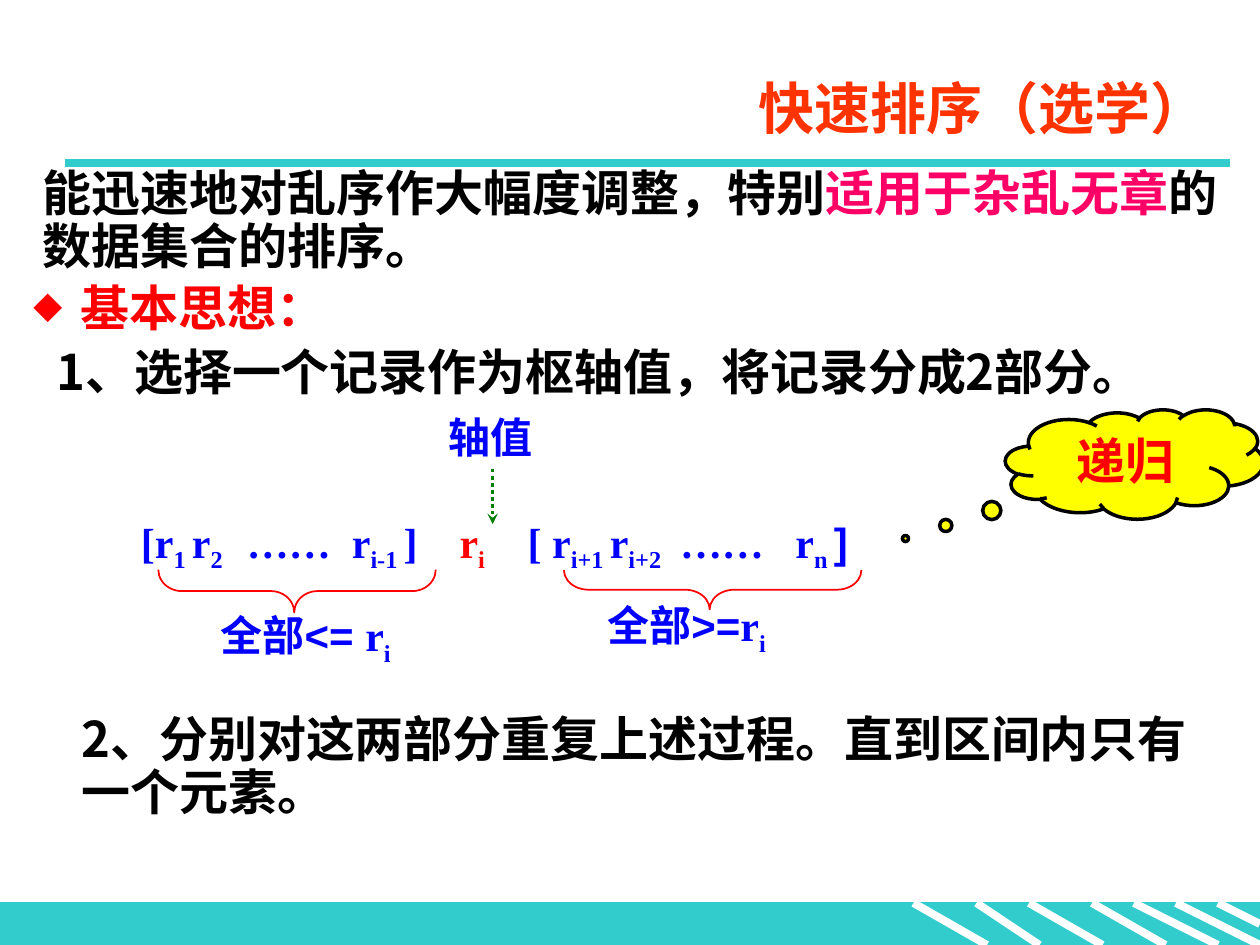
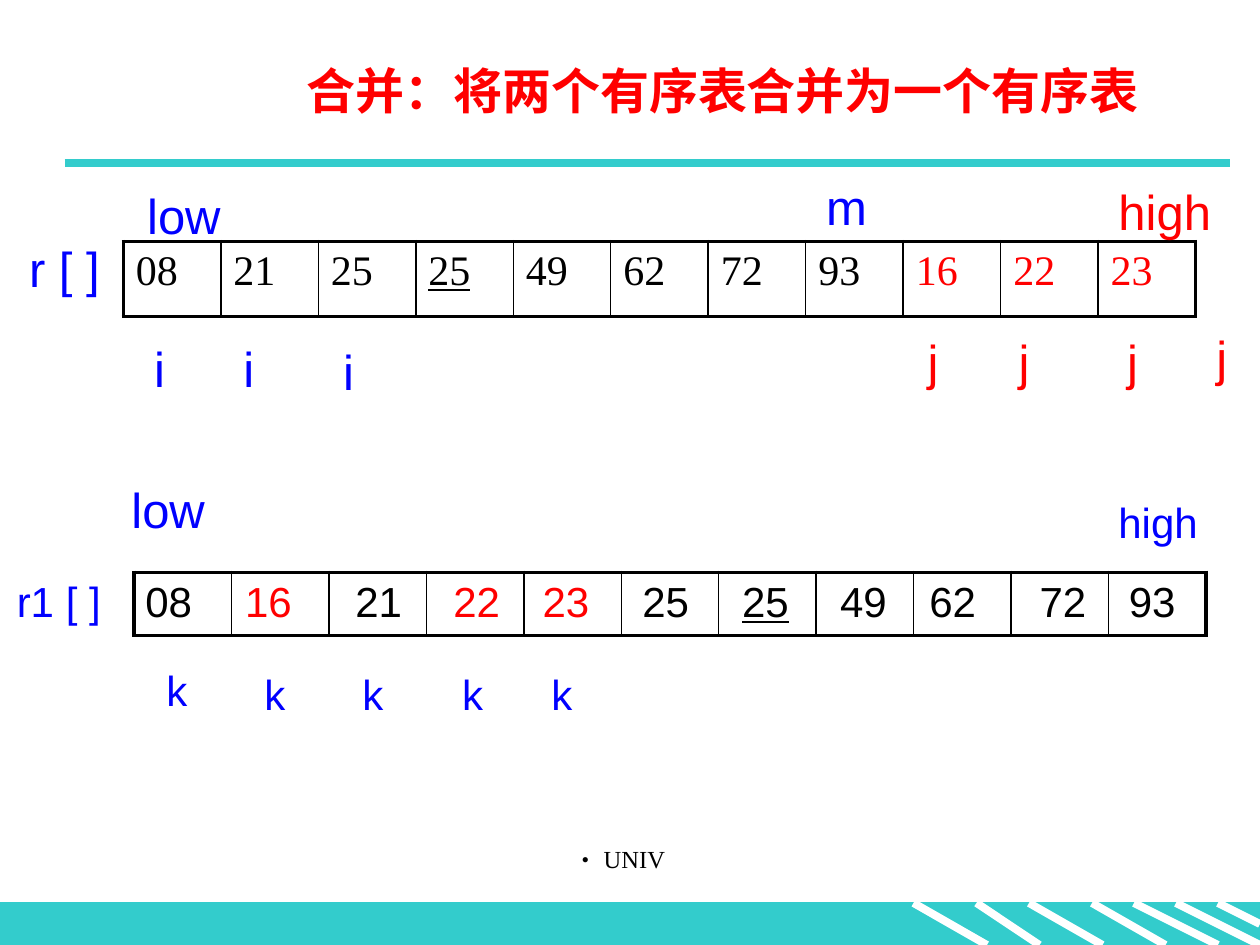
from lxml import etree
from pptx import Presentation
from pptx.dml.color import RGBColor
from pptx.enum import dml, shapes, text
from pptx.oxml import ns
from pptx.util import Pt

TEAL = RGBColor(0x33, 0xCC, 0xCC)
WHITE = RGBColor(0xFF, 0xFF, 0xFF)
BLACK = RGBColor(0, 0, 0)
RED = RGBColor(0xFF, 0, 0)
ORANGE = RGBColor(0xFF, 0x33, 0)
PINK = RGBColor(0xFF, 0, 0x66)
BLUE = RGBColor(0, 0, 0xFF)
GREEN = RGBColor(0, 0x80, 0)
YELLOW = RGBColor(0xFF, 0xFF, 0)

HEI = "Noto Sans CJK SC"
HEI_JP = "Noto Sans CJK JP"
SANS = "Arial"
SERIF = "Times New Roman"
TIGHT = 0.9
LEFT, CENTER, RIGHT = text.PP_ALIGN.LEFT, text.PP_ALIGN.CENTER, text.PP_ALIGN.RIGHT


def cjk_line(size):
    return Pt(size * 1.08)


def child(parent, tag, **attributes):
    return etree.SubElement(parent, ns.qn(tag), attributes)


class Deck:
    STRIPES = [(522, 564, 540), (558, 594, 540), (588, 630, 540), (624, 666, 540),
               (648, 696, 540), (672, 720, 540), (696, 720, 528)]

    def __init__(self):
        self.prs = Presentation()
        self.prs.slide_width, self.prs.slide_height = Pt(720), Pt(540)
        self.slide = None

    def new_slide(self, layout):
        self.slide = self.prs.slides.add_slide(self.prs.slide_layouts[layout])
        self.shape(shapes.MSO_SHAPE.RECTANGLE, (0, 516, 720, 24), TEAL, TEAL, 0.75)
        for start, end, bottom in self.STRIPES:
            self.line((start, 516), (end, bottom), WHITE, 4.5)
        self.line((37, 93), (703, 93), TEAL, 4.5)

    def shape(self, kind, box, fill, line, width, adjust=(), rotation=0):
        item = self.slide.shapes.add_shape(kind, *map(Pt, box))
        item.shadow.inherit = False
        item.rotation = rotation
        for index, value in enumerate(adjust):
            item.adjustments[index] = value
        if fill is None:
            item.fill.background()
        else:
            item.fill.solid()
            item.fill.fore_color.rgb = fill
        item.line.color.rgb = line
        item.line.width = Pt(width)
        return item

    def line(self, start, end, color, width):
        item = self.slide.shapes.add_connector(
            shapes.MSO_CONNECTOR.STRAIGHT, *map(Pt, start + end))
        item.line.color.rgb = color
        item.line.width = Pt(width)
        child(item._element.spPr, "a:effectLst")
        return item

    def arrow(self, start, end, color, width):
        item = self.line(start, end, color, width)
        item.line.dash_style = dml.MSO_LINE.ROUND_DOT
        child(item.line._get_or_add_ln(), "a:tailEnd", type="stealth")

    def frame(self, item, box=None):
        if box:
            item.left, item.top, item.width, item.height = map(Pt, box)
        frame = item.text_frame
        frame.word_wrap = True
        frame.auto_size = text.MSO_AUTO_SIZE.NONE
        frame.vertical_anchor = text.MSO_ANCHOR.TOP
        frame.margin_left = frame.margin_right = Pt(7.2)
        frame.margin_top, frame.margin_bottom = Pt(6), Pt(3.6)
        return frame

    def fill_paragraph(self, paragraph, segments, size, face, bold=False, align=LEFT,
                       spacing=TIGHT, before=0):
        paragraph.alignment = align
        paragraph.line_spacing = spacing
        paragraph.space_before = Pt(before)
        for words, color, *own_face in segments:
            for index, part in enumerate(words.replace("}", "{").split("{")):
                if not part:
                    continue
                run = paragraph.add_run()
                run.text = part
                font = run.font
                font.size, font.bold = Pt(size), bold
                font.name = own_face[0] if own_face else face
                font.color.rgb = color
                east = face if face in (HEI, HEI_JP) else HEI
                child(run._r.get_or_add_rPr(), "a:ea", typeface=east)
                if index % 2:
                    run._r.rPr.set("baseline", "-25000")

    def indent(self, paragraph, margin, first=0, bullet=None, percent=100):
        properties = paragraph._p.get_or_add_pPr()
        properties.set("marL", str(Pt(margin)))
        properties.set("indent", str(Pt(first)))
        if bullet:
            child(properties, "a:buSzPct", val=str(percent * 1000))
            child(properties, "a:buFont", typeface=HEI)
            child(properties, "a:buChar", char=bullet)
        else:
            child(properties, "a:buNone")

    def tabs(self, paragraph, stops):
        tab_list = child(paragraph._p.get_or_add_pPr(), "a:tabLst")
        for stop in stops:
            child(tab_list, "a:tab", pos=str(Pt(stop)), algn="l")

    def title(self, words, box, size, color, face, align):
        frame = self.frame(self.slide.shapes.title, box)
        self.fill_paragraph(frame.paragraphs[0], [(words, color)], size, face, True, align,
                            cjk_line(size))

    def text(self, segments, box, size, face, **style):
        frame = self.frame(self.slide.shapes.add_textbox(0, 0, 0, 0), box)
        self.fill_paragraph(frame.paragraphs[0], segments, size, face, **style)
        return frame.paragraphs[0]

    def label(self, words, x, y, size, color, width=70):
        return self.text([(words, color)], (x, y, width, 36), size, SANS)

    def table(self, box, values):
        count = len(values)
        grid = self.slide.shapes.add_table(1, count, *map(Pt, box)).table
        grid.first_row = grid.horz_banding = False
        for index, (value, color) in enumerate(values):
            cell = grid.cell(0, index)
            cell.fill.background()
            if value:
                self.fill_paragraph(cell.text_frame.paragraphs[0], [(value, color)], 24,
                                    SERIF, spacing=1.0)
            widths = {"a:lnL": 1 if index else 2.25,
                      "a:lnR": 1 if index < count - 1 else 2.25,
                      "a:lnT": 2.25, "a:lnB": 2.25}
            properties = cell._tc.get_or_add_tcPr()
            for place, (tag, width) in enumerate(widths.items()):
                border = etree.Element(ns.qn(tag), w=str(Pt(width)))
                child(child(border, "a:solidFill"), "a:srgbClr", val=str(BLACK))
                properties.insert(place, border)
        return grid


def quick_sort(deck):
    deck.new_slide(1)
    deck.title("快速排序（选学）", (145, 40, 552, 54), 32, ORANGE, SANS, RIGHT)

    idea = deck.frame(deck.slide.placeholders[1], (6, 156, 702, 86))
    heading, first_step = idea.paragraphs[0], idea.add_paragraph()
    bold_hei = dict(size=28, face=HEI, bold=True, spacing=cjk_line(28))
    deck.fill_paragraph(heading, [("基本思想：", RED)], before=6, **bold_hei)
    deck.indent(heading, 33, -27, "◆", 60)
    deck.fill_paragraph(first_step, [("1、选择一个记录作为枢轴值，将记录分成2部分。", BLACK)],
                        before=6, **bold_hei)
    deck.indent(first_step, 19)

    deck.text([("2、分别对这两部分重复上述过程。直到区间内只有一个元素。", BLACK)],
              (39.5, 402, 668, 75), **bold_hei)

    recursion = deck.shape(shapes.MSO_SHAPE.CLOUD_CALLOUT, (574.5, 234, 147.5, 62.5),
                           YELLOW, BLACK, 2, (-0.887, 0.68))
    deck.fill_paragraph(deck.frame(recursion).paragraphs[0], [("递归", RED)], align=CENTER,
                        **bold_hei)

    partition = deck.text(
        [("[r{1 }r{2}\t……\tr{i-1 }]\t", BLUE), ("r{i}\t", RED),
         ("[ r{i+1 }r{i+2}\t……\tr{n }", BLUE), ("]", BLUE, SANS)],
        (73.5, 289.5, 454, 36), 24, SERIF, bold=True)
    deck.tabs(partition, [60.5, 120.5, 182, 221, 308, 374])

    deck.arrow((281.5, 268), (281.5, 299.5), GREEN, 2)
    for box, curve in [((157.5, 258.5, 24.5, 158.5), 0.545), ((396, 252, 22.5, 170), 0.626)]:
        deck.shape(shapes.MSO_SHAPE.LEFT_BRACE, box, None, RED, 1, (curve, 0.49), 270)
    deck.text([("轴值", BLUE)], (249, 232, 68, 36), 24, SANS, bold=True, spacing=cjk_line(24))
    for relation, x, y in [("全部<= ", 119, 343), ("全部>=", 340, 337)]:
        deck.text([(relation, BLUE), ("r{i}", BLUE, SERIF)], (x, y, 125, 36), 24, SANS,
                  bold=True)

    deck.text([("能迅速地对乱序作大幅度调整，特别", BLACK), ("适用于杂乱无章", PINK),
               ("的数据集合的排序。", BLACK)], (17.5, 90, 690, 75), **bold_hei)


def merge(deck):
    deck.new_slide(5)
    deck.title("合并：将两个有序表合并为一个有序表", (168, 32, 543, 38), 28, RED, HEI_JP, LEFT)

    runs = [(value, BLACK) for value in "08 21 25 25 49 62 72 93".split()]
    runs += [(value, RED) for value in "16 22 23".split()]
    source = deck.table((70.5, 138, 613, 43), runs)
    source.cell(0, 3).text_frame.paragraphs[0].runs[0].font.underline = True
    deck.table((76.5, 327, 613, 36), [("", BLACK)] * 11)

    for words, x, y, size, color in [
            ("low", 77, 104, 28, BLUE), ("m", 465, 98.5, 28, BLUE),
            ("high", 632, 101.5, 28, RED), ("r [ ]", 9.5, 134, 28, BLUE),
            ("low", 68, 272, 28, BLUE), ("high", 632, 281, 24, BLUE),
            ("r1 [ ]", 2.5, 326, 24, BLUE)]:
        deck.label(words, x, y, size, color)

    pointers = [("i", 28, BLUE, [(81, 191), (132, 191), (189, 193)]),
                ("j", 28, RED, [(523, 187), (575, 187), (637, 187), (688, 185)]),
                ("k", 24, BLUE, [(88, 377), (144, 379.5), (200, 379.5), (257, 379.5),
                                 (308, 379.5)])]
    for name, size, color, places in pointers:
        for x, y in places:
            deck.label(name, x, y, size, color, 29)

    merged = zip("08 16 21 22 23 25 25 49 62 72 93".split(),
                 [76, 133, 196, 252, 303, 360, 417, 473, 524, 587, 638])
    for index, (value, x) in enumerate(merged):
        color = RED if value in ("16", "22", "23") else BLACK
        paragraph = deck.label(value, x, 326, 24, color, 45)
        paragraph.runs[0].font.underline = index == 6

    footer = deck.text([("UNIV", BLACK)], (240, 478, 228, 36), 14, SERIF, align=CENTER)
    deck.indent(footer, 17, -17, "•")


def main():
    deck = Deck()
    quick_sort(deck)
    merge(deck)
    deck.prs.save("out.pptx")


if __name__ == "__main__":
    main()
